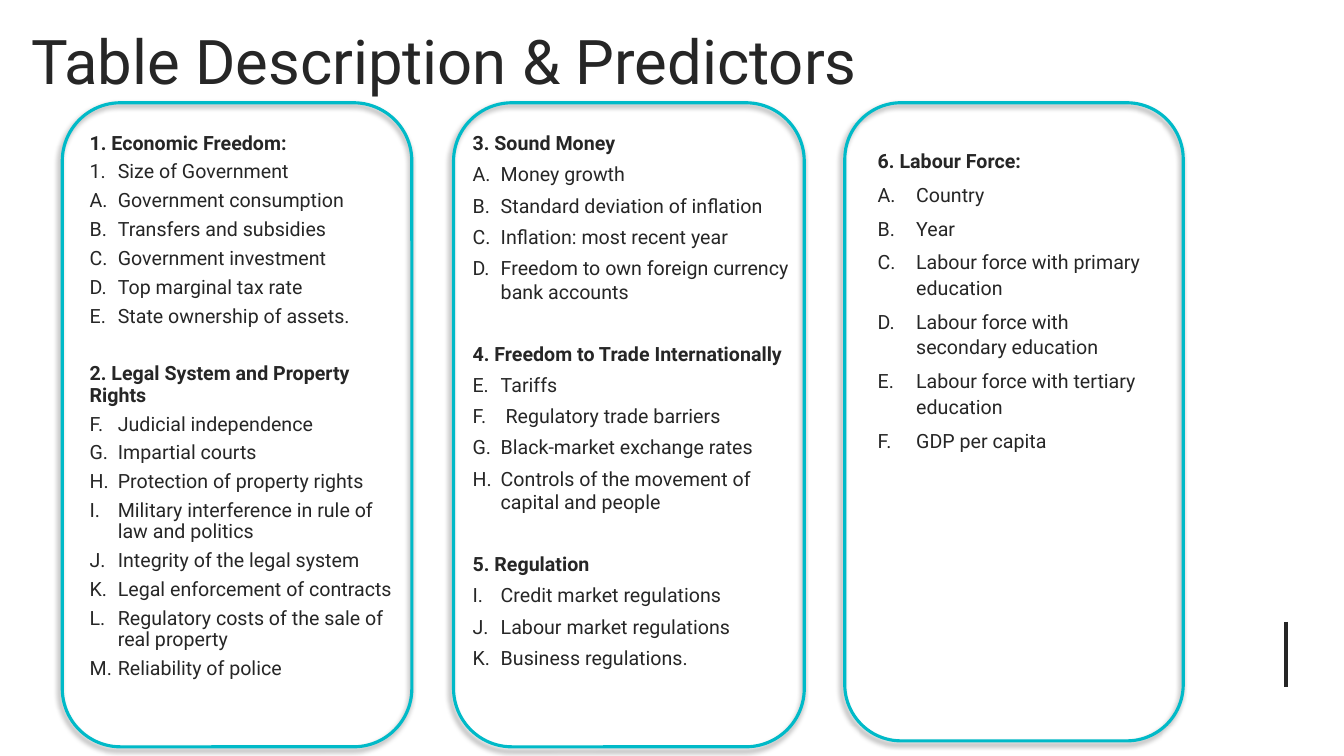
from collections import Counter

from lxml.etree import SubElement
from pptx import Presentation
from pptx.dml.color import RGBColor
from pptx.enum.shapes import MSO_CONNECTOR, MSO_SHAPE
from pptx.enum.text import MSO_ANCHOR, MSO_AUTO_SIZE, PP_ALIGN
from pptx.oxml.ns import qn
from pptx.util import Cm, Pt

COLOURS = {"text": "262626", "frame": "00BAC8", "shadow": "000000"}
FONT = "Roboto"
NUMBER, LETTER = "arabicPeriod", "alphaUcPeriod"

# Each group: heading, numbering scheme, items; numbering runs on within a column
COLUMNS = [
    {
        "frame": (1.57, 2.59, 8.81, 16.23), "text": (2.01, 3.23, 8.36, 15.47),
        "line_spacing": 0.9, "indent": 0.71, "gap": 26,
        "groups": [
            ("1. Economic Freedom:", NUMBER, ["Size of Government"]),
            (None, LETTER, [
                "Government consumption", "Transfers and subsidies",
                "Government investment", "Top marginal tax rate",
                "State ownership of assets."]),
            ("2. Legal System and Property Rights", LETTER, [
                "Judicial independence", "Impartial courts",
                "Protection of property rights",
                "Military interference in rule of law and politics",
                "Integrity of the legal system",
                "Legal enforcement of contracts",
                "Regulatory costs of the sale of real property",
                "Reliability of police"]),
        ],
    },
    {
        "frame": (11.43, 2.59, 8.84, 16.23), "text": (11.66, 3.18, 8.61, 14.2),
        "line_spacing": 1.0, "indent": 0.71, "gap": 27.5,
        "groups": [
            ("3. Sound Money", LETTER, [
                "Money growth", "Standard deviation of inflation",
                "Inflation: most recent year",
                "Freedom to own foreign currency bank accounts"]),
            ("4. Freedom to Trade Internationally", LETTER, [
                "Tariffs", " Regulatory trade barriers",
                "Black-market exchange rates",
                "Controls of the movement of capital and people"]),
            ("5. Regulation", LETTER, [
                "Credit market regulations", "Labour market regulations",
                "Business regulations."]),
        ],
    },
    {
        "frame": (21.29, 2.59, 8.53, 16.08), "text": (21.87, 3.58, 7.26, 11.4),
        "line_spacing": 1.1, "indent": 0.97, "gap": 0,
        "groups": [
            ("6. Labour Force:", LETTER, [
                "Country", "Year", "Labour force with primary education",
                "Labour force with secondary education",
                "Labour force with tertiary education", "GDP per capita"]),
        ],
    },
]


def colour(name):
    return RGBColor.from_string(COLOURS[name])


def write(paragraph, text, size=14, bold=False, before=0, line_spacing=1.0):
    paragraph.alignment = PP_ALIGN.LEFT
    paragraph.space_before = Pt(before)
    paragraph.line_spacing = line_spacing
    run = paragraph.add_run()
    run.text = text
    run.font.name, run.font.size, run.font.bold = FONT, Pt(size), bold
    run.font.color.rgb = colour("text")


def number(paragraph, scheme, start, indent):
    properties = paragraph._p.get_or_add_pPr()
    properties.set("marL", str(Cm(indent)))
    properties.set("indent", str(-Cm(indent)))
    bullet = SubElement(properties, qn("a:buAutoNum"), type=scheme)
    if start > 1:
        bullet.set("startAt", str(start))


class SlideBuilder:
    def __init__(self, presentation):
        self.slide = presentation.slides.add_slide(presentation.slide_layouts[5])

    def title(self, text, left, top, width, height):
        title = self.slide.shapes.title
        title.left, title.top = Cm(left), Cm(top)
        title.width, title.height = Cm(width), Cm(height)
        frame = title.text_frame
        frame.vertical_anchor = MSO_ANCHOR.MIDDLE
        frame.auto_size = MSO_AUTO_SIZE.NONE
        write(frame.paragraphs[0], text, size=44)

    def bar(self, x, top, bottom):
        bar = self.slide.shapes.add_connector(
            MSO_CONNECTOR.STRAIGHT, Cm(x), Cm(top), Cm(x), Cm(bottom))
        bar.line.color.rgb = colour("text")
        bar.line.width = Pt(3)
        SubElement(bar._element.spPr, qn("a:effectLst"))

    def rounded_frame(self, box):
        shape = self.slide.shapes.add_shape(
            MSO_SHAPE.ROUNDED_RECTANGLE, *map(Cm, box))
        shape.fill.background()
        shape.line.color.rgb = colour("frame")
        shape.line.width = Pt(2.25)
        # Soft shadow towards the lower left
        shape.shadow.inherit = False
        effects = shape._element.spPr.find(qn("a:effectLst"))
        shadow = SubElement(
            effects, qn("a:outerShdw"), blurRad=str(Pt(4)), dist=str(Pt(3)),
            dir=str(135 * 60000), algn="tr", rotWithShape="0")
        tint = SubElement(shadow, qn("a:srgbClr"), val=COLOURS["shadow"])
        SubElement(tint, qn("a:alpha"), val="40000")

    def lists(self, box, groups, line_spacing, indent, gap):
        frame = self.slide.shapes.add_textbox(*map(Cm, box)).text_frame
        frame.word_wrap = True
        paragraph = frame.paragraphs[0]
        used = Counter()
        for position, (heading, scheme, items) in enumerate(groups):
            if heading:
                if position:
                    paragraph = frame.add_paragraph()
                write(paragraph, heading, bold=True,
                      before=gap if position else 0, line_spacing=line_spacing)
            for item in items:
                paragraph = frame.add_paragraph()
                number(paragraph, scheme, used[scheme] + 1, indent)
                write(paragraph, item, before=5.5, line_spacing=line_spacing)
            used[scheme] += len(items)


def main():
    presentation = Presentation()
    presentation.slide_width, presentation.slide_height = Cm(33.87), Cm(19.05)
    builder = SlideBuilder(presentation)

    # Title and side bar
    builder.title("Table Description & Predictors", 0.53, 0.33, 28.83, 2.34)
    builder.bar(32.41, 15.67, 17.32)

    # Three framed columns of predictors
    for column in COLUMNS:
        builder.lists(column["text"], column["groups"], column["line_spacing"],
                      column["indent"], column["gap"])
        builder.rounded_frame(column["frame"])

    presentation.save("out.pptx")


if __name__ == "__main__":
    main()
